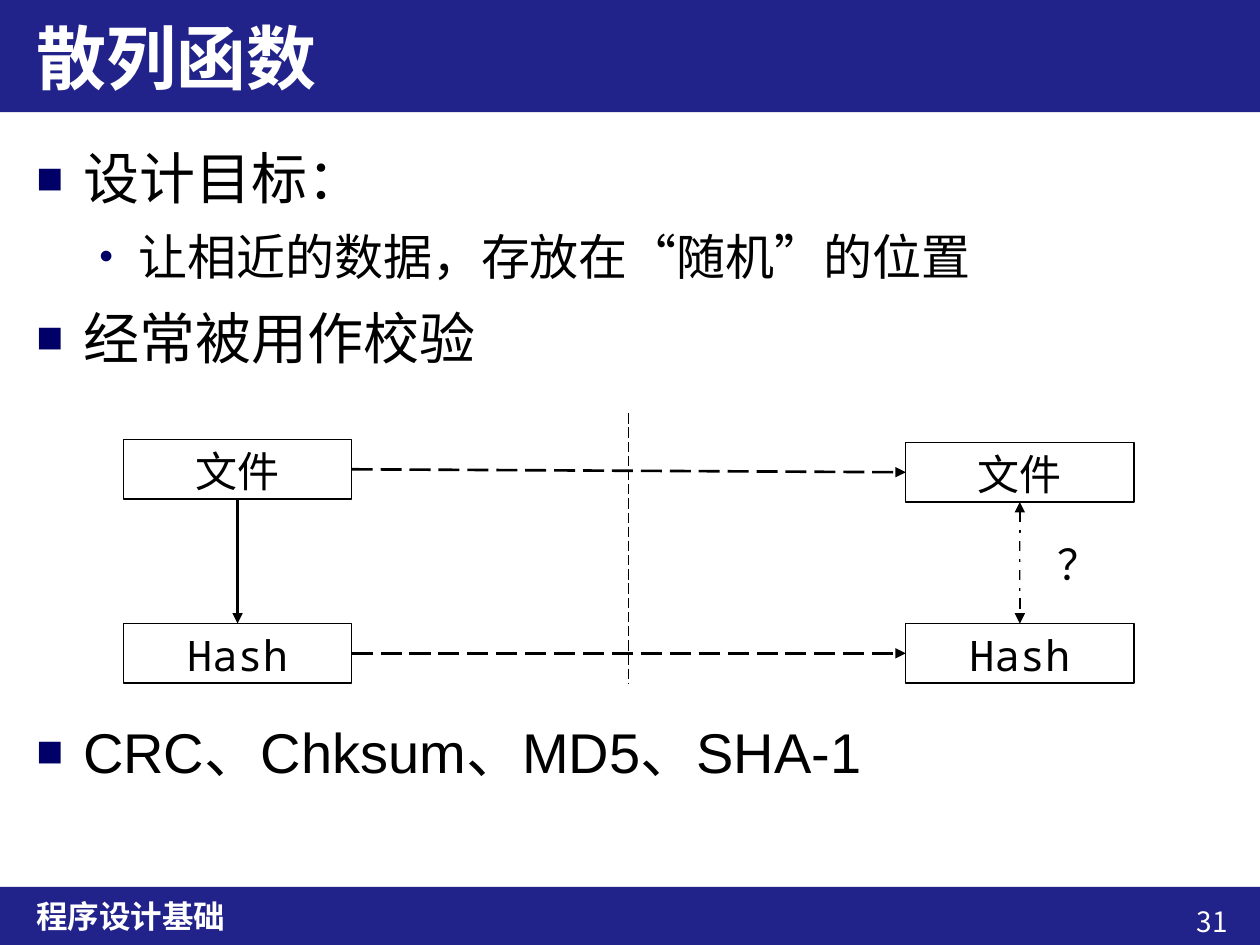
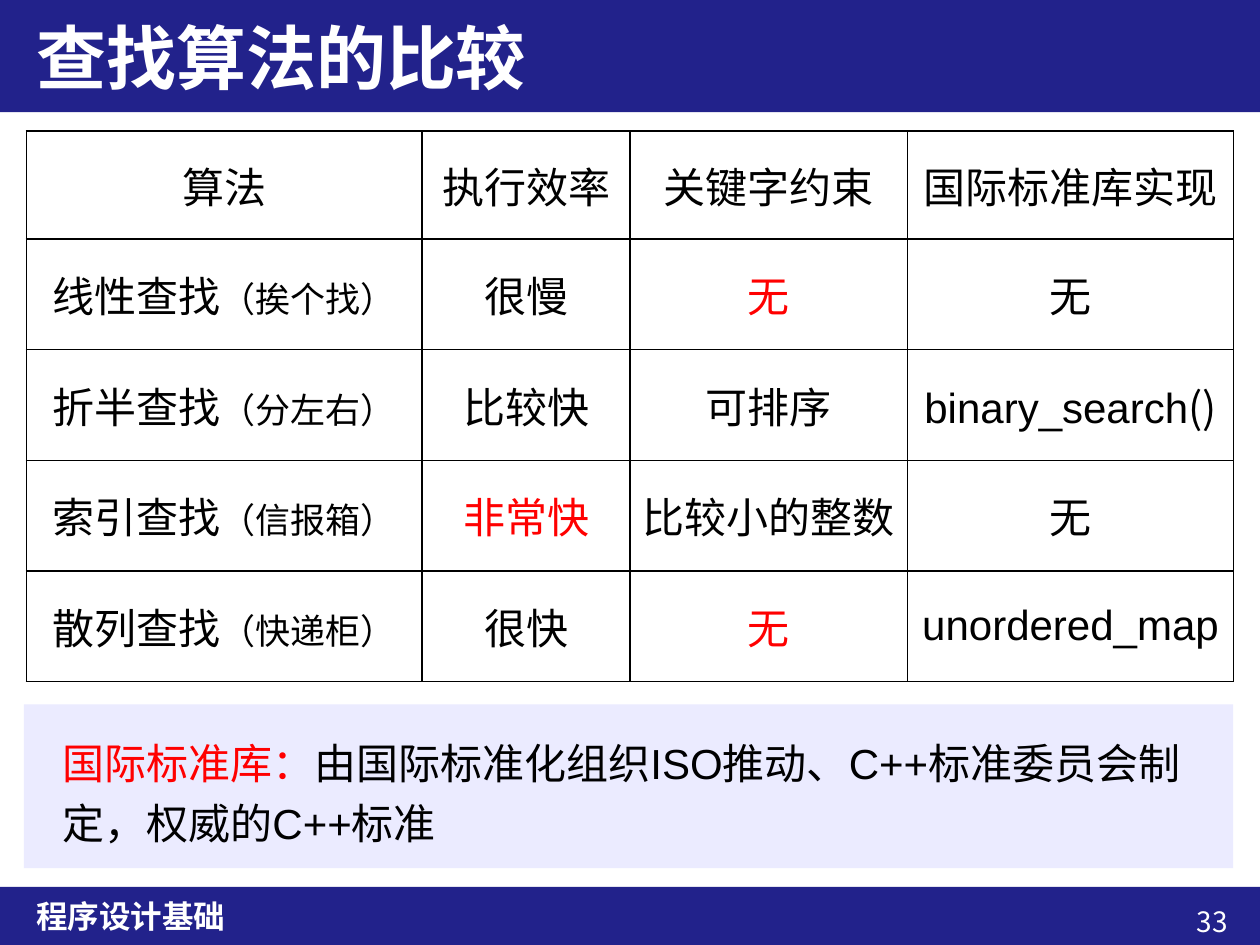
from dataclasses import dataclass
from lxml import etree
from pptx import Presentation
from pptx.dml.color import RGBColor as RGB
from pptx.enum.dml import MSO_LINE as Dash
from pptx.enum.lang import MSO_LANGUAGE_ID as Lang
from pptx.enum.shapes import MSO_CONNECTOR as Link, MSO_SHAPE as Shape
from pptx.enum.text import MSO_ANCHOR as Anchor, MSO_AUTO_SIZE as Fit, PP_ALIGN as Align
from pptx.oxml.ns import qn
from pptx.util import Cm, Pt


@dataclass(frozen=True)
class Theme:
    navy: str = "22228B"
    mark: str = "000066"
    pale: str = "EBEBFF"
    red: str = "FF0000"
    black: str = "000000"
    white: str = "FFFFFF"
    sans: str = "Arial"
    han: str = "Noto Sans CJK SC"
    mono: str = "Noto Sans Mono"
    title: float = 40
    head: float = 32
    sub: float = 28
    text: float = 24
    small: float = 20
    foot: float = 18
    page: float = 16


T = Theme()
EDGE, WIDE = 0.48, 24.38
HEAD, FOOT = 2.26, 17.88
SITES = {"top": 0, "left": 1, "bottom": 2, "right": 3}


def tint(font, color):
    font.color.rgb = RGB.from_string(color)


def write(para, runs, size, color=T.black, face=T.han, bold=False, align=Align.LEFT):
    font = para.font
    font.size, font.bold, font.name = Pt(size), bold, face
    font.language_id = Lang.SIMPLIFIED_CHINESE
    tint(font, color)
    para.alignment = align
    base = para._p.pPr.find(qn("a:defRPr"))
    etree.SubElement(base, qn("a:ea"), typeface=T.han)
    for item in [runs] if isinstance(runs, str) else runs:
        words, look = (item, {}) if isinstance(item, str) else item
        run = para.add_run()
        run.text = words
        if "size" in look:
            run.font.size = Pt(look["size"])
        if "color" in look:
            tint(run.font, look["color"])
        if "face" in look:
            run.font.name = look["face"]


def place(shape, left, top, width, height):
    shape.left, shape.top = Cm(left), Cm(top)
    shape.width, shape.height = Cm(width), Cm(height)


def frame(shape, anchor=Anchor.TOP):
    area = shape.text_frame
    area.word_wrap, area.auto_size = True, Fit.NONE
    area.vertical_anchor = anchor
    return area


def rect(slide, spot, fill, line=None):
    shape = slide.shapes.add_shape(Shape.RECTANGLE, *map(Cm, spot))
    shape.shadow.inherit = False
    shape.fill.solid()
    shape.fill.fore_color.rgb = RGB.from_string(fill)
    if line:
        shape.line.color.rgb = RGB.from_string(line)
        shape.line.width = Pt(0.75)
    else:
        shape.line.fill.background()
    return shape


def label(slide, spot, runs, size, anchor=Anchor.TOP, **look):
    area = frame(slide.shapes.add_textbox(*map(Cm, spot)), anchor)
    write(area.paragraphs[0], runs, size, **look)
    return area.paragraphs[0]


def box(slide, spot, words, line=T.black):
    shape = rect(slide, spot, T.white, line)
    write(frame(shape).paragraphs[0], words, T.text, face=T.mono, align=Align.CENTER)
    return shape


def stroke(slide, spot, width, dash=None, ends=()):
    line = slide.shapes.add_connector(Link.STRAIGHT, *map(Cm, spot))
    line.line.color.rgb = RGB.from_string(T.black)
    line.line.width = Pt(width)
    if dash:
        line.line.dash_style = dash
    pen = line._element.spPr.find(qn("a:ln"))
    for end in ends:
        etree.SubElement(pen, qn(f"a:{end}"), type="triangle")
    etree.SubElement(line._element.spPr, qn("a:effectLst"))
    return line


def join(slide, start, side, stop, face, dash=None, ends=("tailEnd",)):
    line = stroke(slide, (0, 0, 1, 1), 1.5, dash, ends)
    line.begin_connect(start, SITES[side])
    line.end_connect(stop, SITES[face])


def bullet(para, sign, left, hang):
    props = para._p.pPr
    props.set("marL", str(Cm(left)))
    props.set("indent", str(-Cm(hang)))
    base = props.find(qn("a:defRPr"))
    color = etree.Element(qn("a:buClr"))
    etree.SubElement(color, qn("a:srgbClr"), val=T.mark)
    size = etree.Element(qn("a:buSzPct"), val="80000")
    font = etree.Element(qn("a:buFont"), typeface=T.sans)
    char = etree.Element(qn("a:buChar"), char=sign)
    for part in (color, size, font, char):
        base.addprevious(part)


def page(deck, layout, title, number):
    slide = deck.slides.add_slide(deck.slide_layouts[layout])
    head = slide.shapes.title
    for top, high in ((0, HEAD), (FOOT, 1.17)):
        head.element.addprevious(rect(slide, (0, top, 25.4, high), T.navy).element)
    place(head, EDGE, 0, WIDE, HEAD)
    write(frame(head, Anchor.MIDDLE).paragraphs[0], title, T.title, T.white, bold=True)
    label(slide, (EDGE, FOOT, WIDE, 1.17), "程序设计基础", T.foot,
          Anchor.MIDDLE, color=T.white, bold=True)
    label(slide, (21.82, 18.11, 3.18, 0.94), str(number), T.page,
          color=T.white, align=Align.RIGHT)
    return slide


def points(slide, items):
    body = slide.placeholders[1]
    place(body, EDGE, 2.64, WIDE, 14.86)
    area = frame(body)
    for i, (level, words, gap) in enumerate(items):
        para = area.add_paragraph() if i else area.paragraphs[0]
        para.level = level
        para.line_spacing = 1.1
        size = T.sub if level else T.head
        para.space_before = Pt(gap + 0.2 * size)
        write(para, words, size, face=T.sans)
        bullet(para, *(("•", 2.06, 0.79) if level else ("■", 0.94, 0.94)))


def grid(slide, rows, spot, widths, heights):
    shape = slide.shapes.add_table(len(rows), len(widths), *map(Cm, spot),
                                   Cm(sum(widths)), Cm(sum(heights)))
    table = shape.table
    table.first_row = table.horz_banding = False
    for col, width in zip(table.columns, widths):
        col.width = Cm(width)
    for line, height in zip(table.rows, heights):
        line.height = Cm(height)
    for r, row in enumerate(rows):
        for c, runs in enumerate(row):
            cell = table.cell(r, c)
            cell.vertical_anchor = Anchor.MIDDLE
            cell.margin_left = cell.margin_right = Cm(0.1)
            cell.fill.background()
            write(cell.text_frame.paragraphs[0], runs, T.text, align=Align.CENTER)
            edge(cell)


def edge(cell):
    props = cell._tc.tcPr
    for i, side in enumerate("LRTB"):
        line = etree.Element(qn(f"a:ln{side}"), w=str(Pt(1)))
        fill = etree.SubElement(line, qn("a:solidFill"))
        etree.SubElement(fill, qn("a:srgbClr"), val=T.black)
        props.insert(i, line)


def hashing(deck):
    slide = page(deck, 1, "散列函数", 31)
    points(slide, [
        (0, "设计目标：", 0),
        (1, "让相近的数据，存放在“随机”的位置", 0),
        (0, "经常被用作校验", 0),
        (0, "CRC、Chksum、MD5、SHA-1", 187.6),
    ])
    near, far, low, size = 2.49, 18.26, 12.57, (4.6, 1.2)
    file = box(slide, (near, 8.86, *size), "文件")
    code = box(slide, (near, low, *size), "Hash")
    join(slide, file, "bottom", code, "top")
    stroke(slide, (12.67, 8.33, 12.67, 13.79), 0.75, Dash.LONG_DASH)
    twin = box(slide, (far, 8.92, *size), "文件")
    join(slide, file, "right", twin, "left", Dash.LONG_DASH)
    check = box(slide, (far, low, *size), "Hash")
    join(slide, code, "right", check, "left", Dash.LONG_DASH)
    join(slide, twin, "bottom", check, "top", Dash.DASH_DOT, ("headEnd", "tailEnd"))
    box(slide, (20.57, 10.74, 2.34, 1.2), "？", None)


def compare(deck):
    slide = page(deck, 5, "查找算法的比较", 33)
    red, code = {"color": T.red}, {"face": T.sans}

    def name(kind, hint):
        return [kind, (f"（{hint}）", {"size": T.small})]

    rows = [
        ["算法", "执行效率", "关键字约束", "国际标准库实现"],
        [name("线性查找", "挨个找"), "很慢", [("无", red)], "无"],
        [name("折半查找", "分左右"), "比较快", "可排序", [("binary_search", code), "()"]],
        [name("索引查找", "信报箱"), [("非常快", red)], "比较小的整数", "无"],
        [name("散列查找", "快递柜"), "很快", [("无", red)], [("unordered_map", code)]],
    ]
    grid(slide, rows, (0.53, 2.64), [7.98, 4.19, 5.59, 6.58], [2.18] + [2.23] * 4)
    rect(slide, (EDGE, 14.2, WIDE, 3.3), T.pale)
    note = [("国际标准库：", red), "由国际标准化组织ISO推动、C++标准委员会制定，权威的C++标准"]
    para = label(slide, (1.01, 14.53, 23.35, 2.67), note, T.text, face=T.sans)
    para.line_spacing = 1.2


def main():
    deck = Presentation()
    deck.slide_width, deck.slide_height = Cm(25.4), Cm(19.05)
    hashing(deck)
    compare(deck)
    deck.save("out.pptx")


main()
